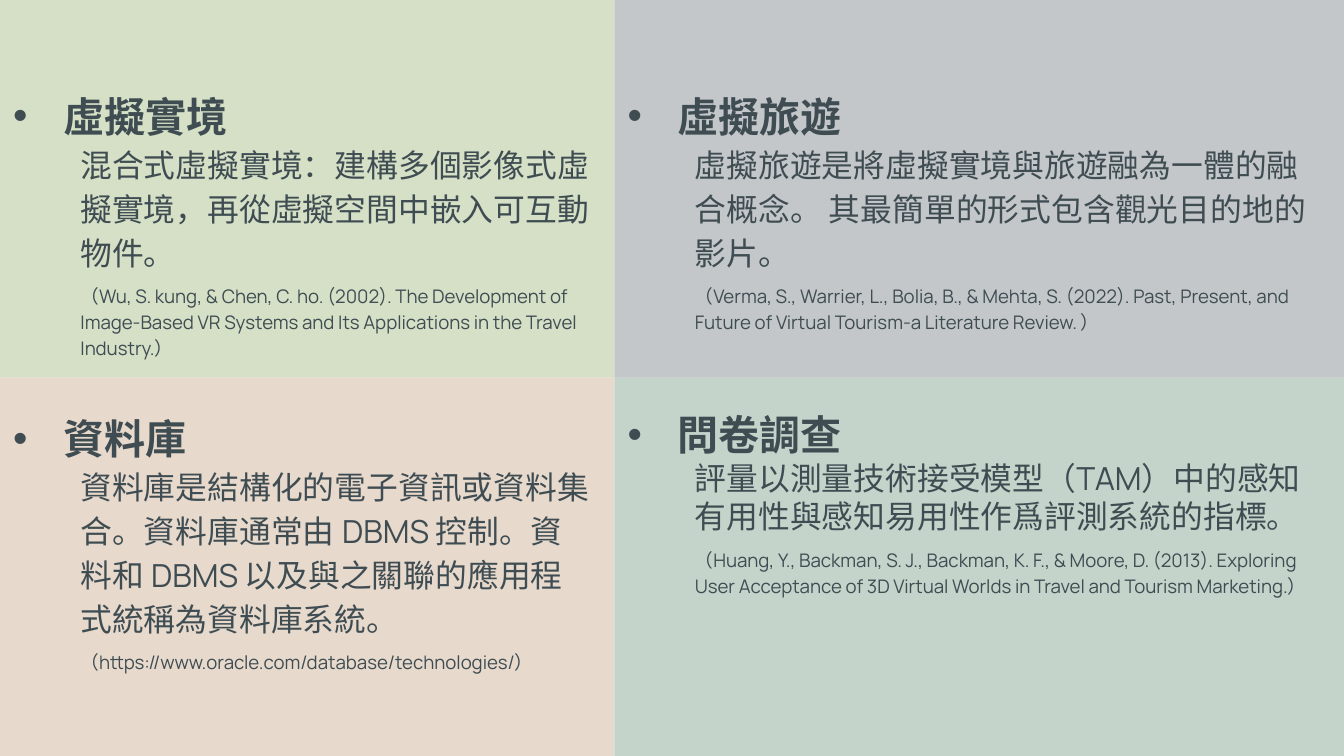
from lxml import etree
from pptx import Presentation
from pptx.dml.color import RGBColor
from pptx.enum.shapes import MSO_SHAPE
from pptx.enum.text import MSO_ANCHOR, MSO_AUTO_SIZE, PP_ALIGN
from pptx.oxml.ns import qn
from pptx.util import Cm, Pt

RECTANGLE = MSO_SHAPE.RECTANGLE
TOP = MSO_ANCHOR.TOP
NO_FIT = MSO_AUTO_SIZE.NONE
LEFT = PP_ALIGN.LEFT

INK = RGBColor(0x3F, 0x4D, 0x53)
GREEN = RGBColor(0xAD, 0xC3, 0x8F)
GRAY = RGBColor(0x89, 0x91, 0x95)
SAND = RGBColor(0xD1, 0xB5, 0x9B)
SAGE = RGBColor(0x8D, 0xAB, 0x97)

SLIDE_W, SLIDE_H = 25.4, 14.29
SPLIT_X, SPLIT_Y = 11.61, 7.14
TEXT_TOP = 1.47
TWO_CONTENT = 3

HEADING = {"size": Pt(22), "bold": True}
DETAIL = {"size": Pt(17), "bold": False}
SOURCE = {"size": Pt(10), "bold": False}

LEFT_TOPICS = [
    ("虛擬實境",
     "混合式虛擬實境：建構多個影像式虛擬實境，再從虛擬空間中嵌入可互動物件。",
     "（Wu, S. kung, & Chen, C. ho. (2002). The Development of Image-Based VR "
     "Systems and Its Applications in the Travel Industry.）", 0, 1.15),
    ("資料庫",
     "資料庫是結構化的電子資訊或資料集合。資料庫通常由 DBMS 控制。"
     "資料和 DBMS 以及與之關聯的應用程式統稱為資料庫系統。",
     "（https://www.oracle.com/database/technologies/）", 29, 1.15),
]
RIGHT_TOPICS = [
    ("虛擬旅遊",
     "虛擬旅遊是將虛擬實境與旅遊融為一體的融合概念。 其最簡單的形式包含觀光目的地的影片。",
     "（Verma, S., Warrier, L., Bolia, B., & Mehta, S. (2022). Past, Present, and "
     "Future of Virtual Tourism-a Literature Review. ）", 0, 1.15),
    ("問卷調查",
     "評量以測量技術接受模型（TAM）中的感知有用性與感知易用性作爲評測系統的指標。",
     "（Huang, Y., Backman, S. J., Backman, K. F., & Moore, D. (2013). Exploring "
     "User Acceptance of 3D Virtual Worlds in Travel and Tourism Marketing.）", 41, 1),
]


def apply(target, values):
    for name, value in values.items():
        setattr(target, name, value)


class TopicSlide:
    font_name = "Manrope"
    ink = INK
    inset = Cm(0.25)
    bullet_indent = Cm(0.95)
    detail_indent = Cm(1.27)
    source_gap = 5.5

    def __init__(self, slide):
        self.slide = slide

    def panel(self, x, y, width, height, color):
        panel = self.slide.shapes.add_shape(
            RECTANGLE, Cm(x), Cm(y), Cm(width), Cm(height))
        panel.shadow.inherit = False
        panel.line.fill.background()
        panel.fill.solid()
        panel.fill.fore_color.rgb = color
        tint = panel.fill._xPr.find(".//" + qn("a:srgbClr"))
        etree.SubElement(tint, qn("a:alpha"), val="50000")

    def paragraph(self, paragraph, text, style, before, spacing, bulleted=False):
        properties = paragraph._p.get_or_add_pPr()
        if bulleted:
            margin, indent = self.bullet_indent, -self.bullet_indent
            tint = etree.SubElement(properties, qn("a:buClr"))
            etree.SubElement(tint, qn("a:srgbClr"), val=str(self.ink))
            etree.SubElement(properties, qn("a:buChar"), char="•")
        else:
            margin, indent = self.detail_indent, 0
            etree.SubElement(properties, qn("a:buNone"))
        properties.set("marL", str(margin))
        properties.set("indent", str(indent))
        apply(paragraph, {
            "level": 0 if bulleted else 1, "alignment": LEFT,
            "line_spacing": spacing, "space_before": Pt(before),
            "space_after": Pt(0)})
        run = paragraph.add_run()
        run.text = text
        apply(run.font, {"name": self.font_name, **style})
        run.font.color.rgb = self.ink

    def topic_list(self, body, x, width, height, topics):
        self.slide.shapes._spTree.append(body._element)
        apply(body, {"left": Cm(x), "top": Cm(TEXT_TOP),
                     "width": Cm(width), "height": Cm(height)})
        frame = body.text_frame
        apply(frame, {
            "word_wrap": True, "auto_size": NO_FIT, "vertical_anchor": TOP,
            "margin_left": self.inset, "margin_right": self.inset,
            "margin_top": self.inset, "margin_bottom": self.inset})
        for number, (heading, detail, source, gap, spacing) in enumerate(topics):
            first = frame.add_paragraph() if number else frame.paragraphs[0]
            self.paragraph(first, heading, HEADING, gap, 1, bulleted=True)
            self.paragraph(frame.add_paragraph(), detail, DETAIL, 0, spacing)
            self.paragraph(frame.add_paragraph(), source, SOURCE,
                           self.source_gap, 1.15)


def main():
    deck = Presentation()
    deck.slide_width, deck.slide_height = Cm(SLIDE_W), Cm(SLIDE_H)
    slide = deck.slides.add_slide(deck.slide_layouts[TWO_CONTENT])
    title, left_body, right_body = slide.placeholders
    title._element.getparent().remove(title._element)

    topics = TopicSlide(slide)
    columns = [(0, SPLIT_X), (SPLIT_X, SLIDE_W - SPLIT_X)]
    rows = [(0, SPLIT_Y, (GREEN, GRAY)),
            (SPLIT_Y, SLIDE_H - SPLIT_Y, (SAND, SAGE))]
    for y, height, colors in rows:
        for (x, width), color in zip(columns, colors):
            topics.panel(x, y, width, height, color)

    topics.topic_list(left_body, 0, 11.43, 12.4, LEFT_TOPICS)
    topics.topic_list(right_body, SPLIT_X, SLIDE_W - SPLIT_X, 10.8, RIGHT_TOPICS)
    deck.save("out.pptx")


if __name__ == "__main__":
    main()
